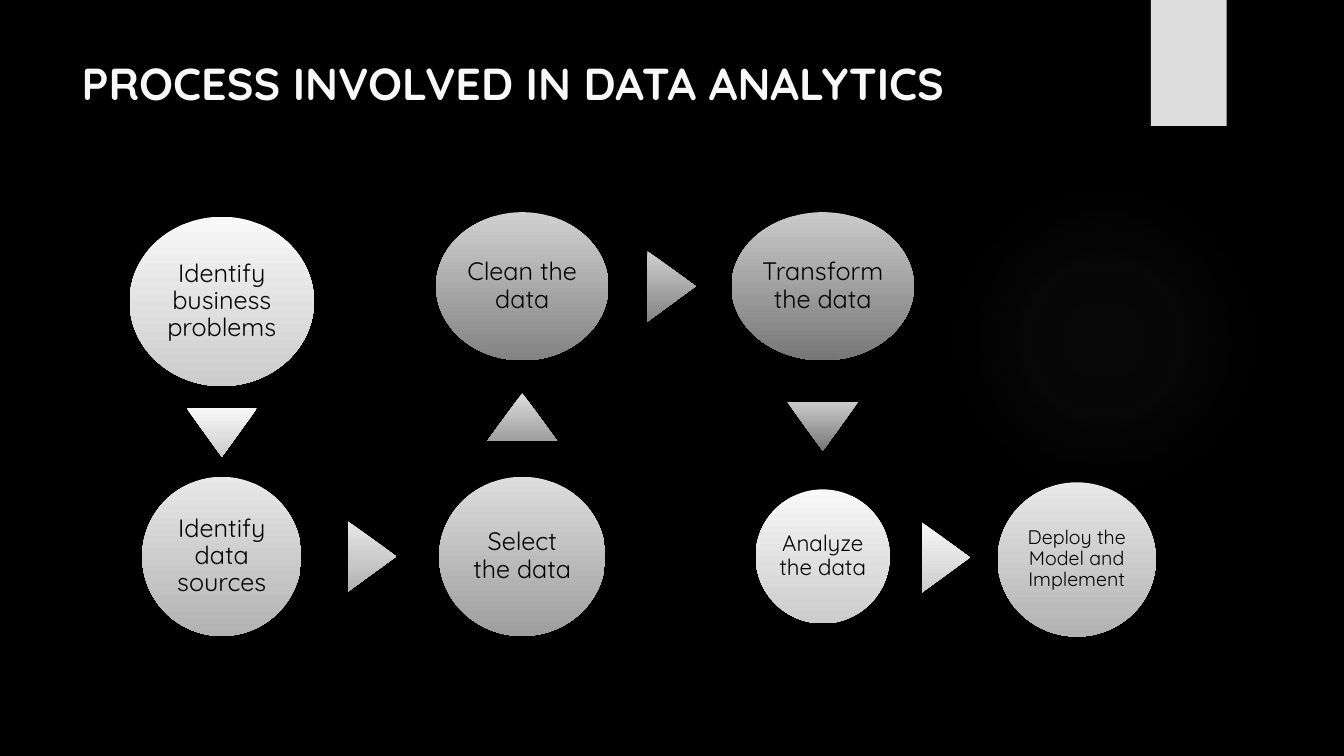
from dataclasses import dataclass

from lxml import etree
from pptx import Presentation
from pptx.dml.color import RGBColor
from pptx.enum.shapes import MSO_SHAPE
from pptx.enum.text import MSO_ANCHOR, MSO_AUTO_SIZE, PP_ALIGN
from pptx.oxml.ns import qn
from pptx.util import Inches, Pt

OVAL, TRIANGLE, RECTANGLE = MSO_SHAPE.OVAL, MSO_SHAPE.ISOSCELES_TRIANGLE, MSO_SHAPE.RECTANGLE
TOP, MIDDLE = MSO_ANCHOR.TOP, MSO_ANCHOR.MIDDLE
LEFT, CENTER = PP_ALIGN.LEFT, PP_ALIGN.CENTER
NO_AUTOFIT = MSO_AUTO_SIZE.NONE
UP, RIGHT, DOWN = 0, 90, 180


@dataclass(frozen=True)
class Theme:
    font: str = "Quicksand"
    background: str = "000000"
    title: str = "F8F8F8"
    text: str = "000000"
    tab: str = "DDDDDD"
    halo: str = "666666"
    title_size: int = 32
    large: int = 18
    medium: int = 16
    small: int = 14
    white: tuple = ("F8F8F8", "CCCCCC")
    pale: tuple = ("E8E8E8", "B2B2B2")
    light: tuple = ("DDDDDD", "9E9E9E")
    middle: tuple = ("D0D0D0", "838383")
    dark: tuple = ("CACACA", "777777")


THEME = Theme()
COLUMNS = [2.2 + 2.98 * column for column in range(3)] + [10.68]
UPPER_ROW, LOWER_ROW = 2.84, 5.52
ARROW_SIZE = (0.7, 0.48)

# Label, centre, size, gradient, type size
STEPS = [
    ("Identify business problems", (COLUMNS[0], 2.99), (1.83, 1.68), THEME.white, THEME.large),
    ("Identify data sources", (COLUMNS[0], LOWER_ROW), (1.58, 1.58), THEME.pale, THEME.large),
    ("Select the data", (COLUMNS[1], LOWER_ROW), (1.65, 1.58), THEME.light, THEME.large),
    ("Clean the data", (COLUMNS[1], UPPER_ROW), (1.71, 1.47), THEME.middle, THEME.large),
    ("Transform the data", (COLUMNS[2], UPPER_ROW), (1.81, 1.47), THEME.dark, THEME.large),
    ("Analyze the data", (COLUMNS[2], LOWER_ROW), (1.33, 1.33), THEME.white, THEME.medium),
    ("Deploy the Model and Implement", (COLUMNS[3], 5.55), (1.57, 1.53), THEME.pale, THEME.small),
]

# Centre and direction of the arrow that leaves each step but the last
ARROWS = [
    ((COLUMNS[0], 4.29), DOWN),
    ((3.69, LOWER_ROW), RIGHT),
    ((COLUMNS[1], 4.14), UP),
    ((6.66, UPPER_ROW), RIGHT),
    ((COLUMNS[2], 4.23), DOWN),
    ((9.38, 5.53), RIGHT),
]


def add_plain_shape(page, kind, center, size):
    (x, y), (width, height) = center, size
    shape = page.shapes.add_shape(
        kind, Inches(x - width / 2), Inches(y - height / 2), Inches(width), Inches(height)
    )
    shape.shadow.inherit = False
    shape.line.fill.background()
    return shape


def shade(shape, colors):
    """Fill from top to bottom of the page, whatever the shape's rotation."""
    shape.fill.gradient()
    shape.fill.gradient_angle = 270
    for stop, color in zip(shape.fill.gradient_stops, colors):
        stop.color.rgb = RGBColor.from_string(color)
    gradient = shape._element.spPr.find(qn("a:gradFill"))
    gradient.set("rotWithShape", "0")


def style_text(frame, size, color, anchor, alignment):
    frame.word_wrap = True
    frame.auto_size = NO_AUTOFIT
    frame.vertical_anchor = anchor
    para = frame.paragraphs[0]
    para.alignment = alignment
    para.font.name = THEME.font
    para.font.size = Pt(size)
    para.font.color.rgb = RGBColor.from_string(color)
    return para


def add_step(page, label, center, size, colors, type_size):
    circle = add_plain_shape(page, OVAL, center, size)
    shade(circle, colors)
    frame = circle.text_frame
    frame.text = label
    frame.margin_left = frame.margin_right = Inches(0.03)
    frame.margin_top = frame.margin_bottom = Inches(0.03)
    para = style_text(frame, type_size, THEME.text, MIDDLE, CENTER)
    para.line_spacing = 0.9


def add_arrow(page, center, direction, colors):
    arrow = add_plain_shape(page, TRIANGLE, center, ARROW_SIZE)
    arrow.rotation = direction
    shade(arrow, colors)


def add_halo(page):
    """Add the faint round glow that fades out towards its edge."""
    halo = add_plain_shape(page, OVAL, (10.95, 3.37), (3.08, 3.08))
    halo.fill.gradient()
    gradient = halo._element.spPr.find(qn("a:gradFill"))
    for child in list(gradient):
        gradient.remove(child)
    stops = etree.SubElement(gradient, qn("a:gsLst"))
    for position, opacity in ((0, 7), (36, 6), (69, 0)):
        stop = etree.SubElement(stops, qn("a:gs"), pos=str(position * 1000))
        color = etree.SubElement(stop, qn("a:srgbClr"), val=THEME.halo)
        etree.SubElement(color, qn("a:alpha"), val=str(opacity * 1000))
    circle = etree.SubElement(gradient, qn("a:path"), path="circle")
    etree.SubElement(circle, qn("a:fillToRect"), l="50000", t="50000", r="50000", b="50000")


def add_tab(page):
    tab = add_plain_shape(page, RECTANGLE, (11.79, 0.625), (0.75, 1.25))
    tab.fill.solid()
    tab.fill.fore_color.rgb = RGBColor.from_string(THEME.tab)


def set_title(page, text):
    title = page.shapes.title
    title.left, title.top = Inches(0.71), Inches(0.5)
    title.width, title.height = Inches(10.29), Inches(1.53)
    title.text_frame.text = text
    para = style_text(title.text_frame, THEME.title_size, THEME.title, TOP, LEFT)
    para.font.bold = True


def main():
    deck = Presentation()
    deck.slide_width, deck.slide_height = Inches(13.33), Inches(7.5)
    page = deck.slides.add_slide(deck.slide_layouts.get_by_name("Title Only"))
    page.background.fill.solid()
    page.background.fill.fore_color.rgb = RGBColor.from_string(THEME.background)

    add_halo(page)
    add_tab(page)
    set_title(page, "PROCESS INVOLVED IN DATA ANALYTICS")
    for step in STEPS:
        add_step(page, *step)
    for (center, direction), (_, _, _, colors, _) in zip(ARROWS, STEPS):
        add_arrow(page, center, direction, colors)

    deck.save("out.pptx")


if __name__ == "__main__":
    main()
